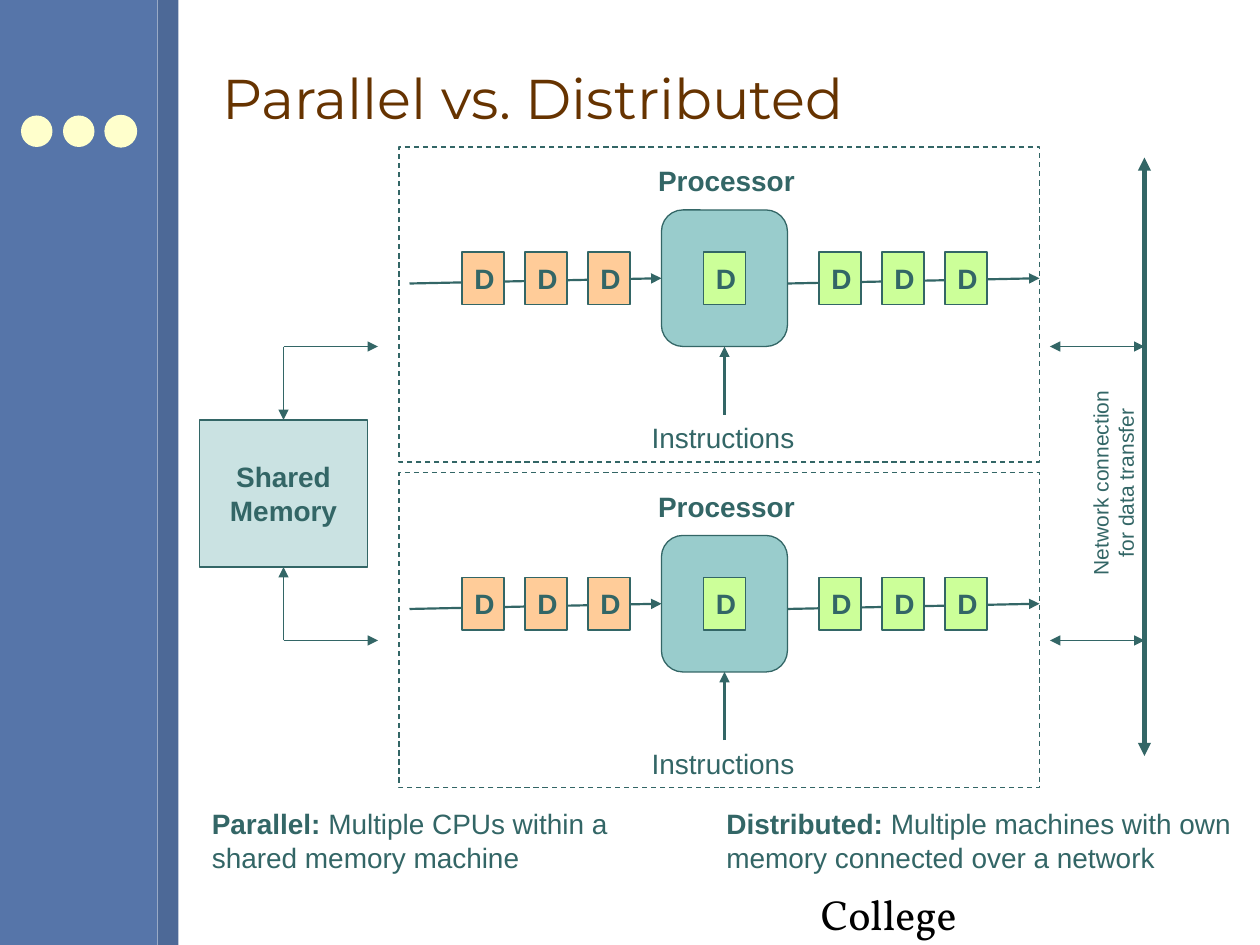
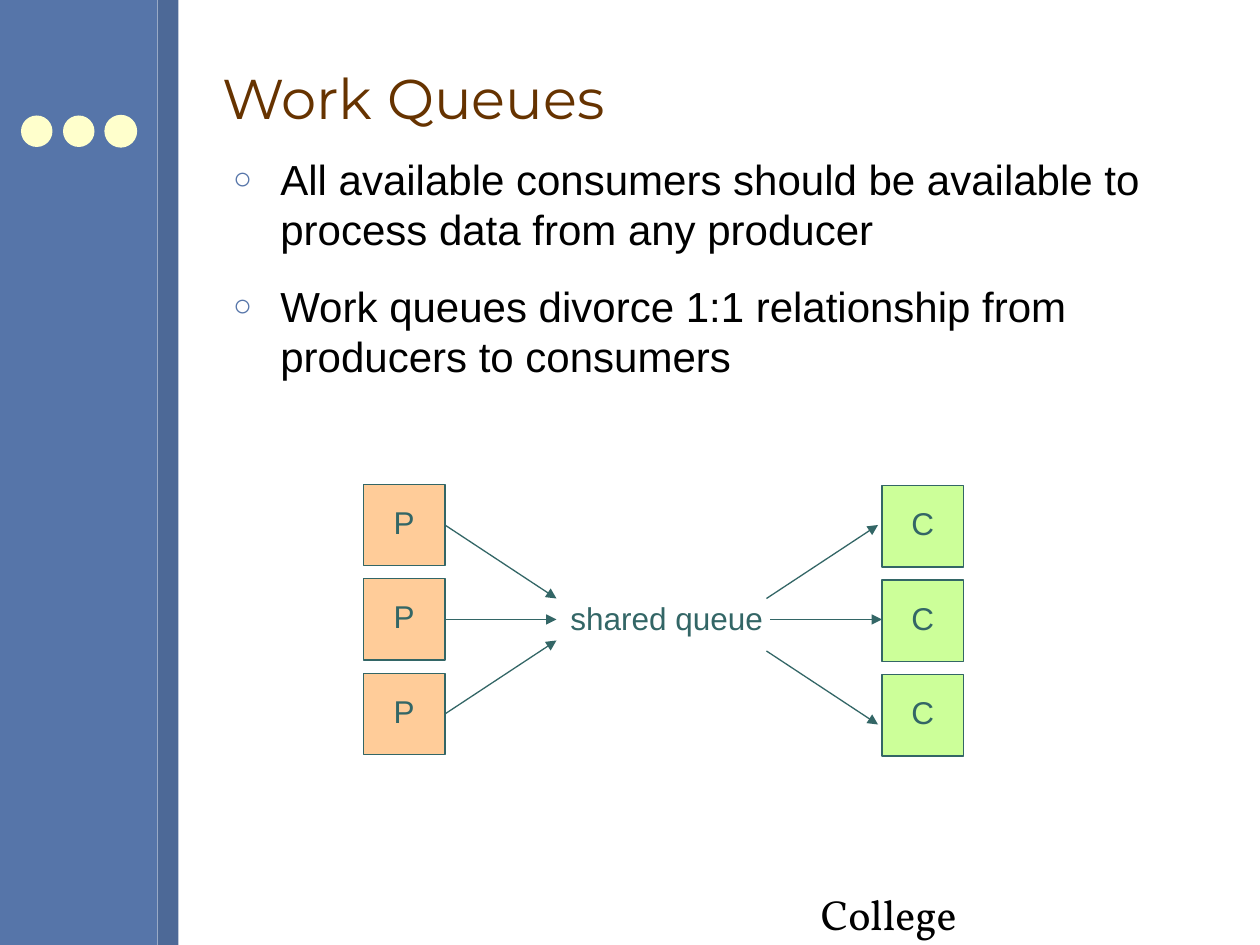
from dataclasses import dataclass

from lxml import etree
from pptx import Presentation
from pptx.dml.color import RGBColor
from pptx.enum.dml import MSO_LINE
from pptx.enum.shapes import MSO_CONNECTOR, MSO_SHAPE
from pptx.enum.text import MSO_ANCHOR, MSO_AUTO_SIZE, PP_ALIGN
from pptx.oxml.ns import qn
from pptx.util import Pt

PX = 9525  # EMU per px, 96 px to the inch
RECT, ROUNDED, OVAL = MSO_SHAPE.RECTANGLE, MSO_SHAPE.ROUNDED_RECTANGLE, MSO_SHAPE.OVAL
LEFT, CENTER = PP_ALIGN.LEFT, PP_ALIGN.CENTER
TOP, MIDDLE = MSO_ANCHOR.TOP, MSO_ANCHOR.MIDDLE
STRAIGHT, DASH, NO_FIT = MSO_CONNECTOR.STRAIGHT, MSO_LINE.DASH, MSO_AUTO_SIZE.NONE


@dataclass(frozen=True)
class Theme:
    band: str = "5675A9"
    band_edge: str = "4D6997"
    dot: str = "FFFFCC"
    title: str = "663300"
    black: str = "000000"
    ink: str = "336666"
    memory: str = "CAE2E2"
    processor: str = "99CCCC"
    waiting: str = "FFCC99"
    done: str = "CCFF99"
    title_font: str = "Montserrat"
    text_font: str = "Arial"
    footer_font: str = "Vollkorn"
    title_size: int = 32
    body_size: int = 24
    queue_size: int = 18
    label_size: int = 16
    note_size: int = 12
    thin: float = 0.75
    medium: float = 1.25
    thick: float = 2.5


theme = Theme()


def add_block(slide, kind, box, fill=None, line=None, lines=(), size=theme.label_size,
              font=theme.text_font, color=theme.ink, align=CENTER, anchor=MIDDLE,
              wrap=True, spacing=None):
    """Add a shape, or a text box if kind is None; lines hold (text, bold) runs."""
    edges = [n * PX for n in box]
    if kind is None:
        block = slide.shapes.add_textbox(*edges)
    else:
        block = slide.shapes.add_shape(kind, *edges)
        block.shadow.inherit = False
        if fill:
            block.fill.solid()
            block.fill.fore_color.rgb = RGBColor.from_string(fill)
        else:
            block.fill.background()
        if line:
            block.line.color.rgb = RGBColor.from_string(line)
            block.line.width = Pt(theme.thin)
        else:
            block.line.fill.background()
    frame = block.text_frame
    for name, value in {"word_wrap": wrap, "vertical_anchor": anchor}.items():
        setattr(frame, name, value)
    for n, runs in enumerate(lines):
        paragraph = frame.add_paragraph() if n else frame.paragraphs[0]
        paragraph.alignment = align
        if spacing:
            paragraph.line_spacing = spacing
        for text, bold in runs:
            run = paragraph.add_run()
            run.text = text
            for name, value in {"name": font, "size": Pt(size), "bold": bold}.items():
                setattr(run.font, name, value)
            run.font.color.rgb = RGBColor.from_string(color)
    return block


def add_arrow(slide, ends, width=theme.thin, heads=("tailEnd",)):
    """Add a straight line with triangles at the given ends."""
    arrow = slide.shapes.add_connector(STRAIGHT, *[n * PX for n in ends])
    arrow.line.color.rgb = RGBColor.from_string(theme.ink)
    arrow.line.width = Pt(width)
    properties = arrow.element.spPr
    for head in heads:
        etree.SubElement(properties.find(qn("a:ln")), qn(f"a:{head}"), type="triangle")
    etree.SubElement(properties, qn("a:effectLst"))


BOTH = ("headEnd", "tailEnd")

deck = Presentation()
deck.slide_width, deck.slide_height = 960 * PX, 720 * PX
parallel = deck.slides.add_slide(deck.slide_layouts[5])
queues = deck.slides.add_slide(deck.slide_layouts[1])

# Shared side bands, dots and footer, moved to the master
shared_parts = [
    add_block(parallel, RECT, (0, 0, 120, 720), theme.band),
    add_block(parallel, RECT, (120, 0, 16, 720), theme.band_edge),
    add_block(parallel, OVAL, (16, 88, 24, 24), theme.dot),
    add_block(parallel, OVAL, (48, 88, 24, 24), theme.dot),
    add_block(parallel, OVAL, (80, 88, 24, 24), theme.dot, theme.dot),
    add_block(parallel, None, (616, 672, 160, 48), lines=[[("College", False)]],
              size=theme.body_size, font=theme.footer_font, color=theme.black,
              align=LEFT, anchor=TOP),
]
master_tree = deck.slide_master.element.cSld.spTree
for n, part in enumerate(shared_parts):
    part.element.xpath(".//p:cNvPr")[0].set("id", str(20 + n))
    master_tree.insert(2 + n, part.element)

# Titles and the bullet list
bullets = ["All available consumers should be available to process data from any producer",
           "Work queues divorce 1:1 relationship from producers to consumers"]
title_style = (theme.title_font, theme.title_size, theme.title, MIDDLE)
body_style = (theme.text_font, theme.body_size, theme.black, TOP)
for holder, box, texts, style in (
    (parallel.shapes.title, (160, 20, 768, 108), ["Parallel vs. Distributed"], title_style),
    (queues.shapes.title, (160, 20, 768, 108), ["Work Queues"], title_style),
    (queues.placeholders[1], (168, 112, 760, 552), bullets, body_style),
):
    font, size, color, anchor = style
    for name, value in zip(("left", "top", "width", "height"), box):
        setattr(holder, name, value * PX)
    frame = holder.text_frame
    frame.text = "\n".join(texts)
    for name, value in {"auto_size": NO_FIT, "word_wrap": True,
                        "vertical_anchor": anchor}.items():
        setattr(frame, name, value)
    for paragraph in frame.paragraphs:
        paragraph.alignment = LEFT
        for name, value in {"name": font, "size": Pt(size)}.items():
            setattr(paragraph.runs[0].font, name, value)
        paragraph.runs[0].font.color.rgb = RGBColor.from_string(color)

for paragraph in queues.placeholders[1].text_frame.paragraphs:
    paragraph.space_before = paragraph.space_after = Pt(7.5)
    properties = paragraph._p.get_or_add_pPr()
    for name, value in {"marL": 36 * PX, "indent": -36 * PX}.items():
        properties.set(name, str(value))
    bullet_color = etree.SubElement(properties, qn("a:buClr"))
    etree.SubElement(bullet_color, qn("a:srgbClr"), val=theme.band)
    etree.SubElement(properties, qn("a:buSzPct"), val="75000")
    etree.SubElement(properties, qn("a:buFont"), typeface=theme.text_font)
    etree.SubElement(properties, qn("a:buChar"), char="○")

# Shared memory with its links to both machines
add_block(parallel, RECT, (152, 320, 128, 112), theme.memory, theme.ink,
          [[("Shared", True)], [("Memory", True)]])
for link_y, memory_edge in ((264, 320), (488, 432)):
    add_arrow(parallel, (216, link_y, 288, link_y))
    add_arrow(parallel, (216, link_y, 216, memory_edge))
    add_arrow(parallel, (800, link_y, 872, link_y), heads=BOTH)

# Network line and its upright label
add_arrow(parallel, (872, 120, 872, 576), theme.thick, BOTH)
network = add_block(parallel, None, (748, 344, 200, 48), size=theme.note_size, anchor=TOP,
                    lines=[[("Network connection", False)], [("for data transfer", False)]])
network.rotation = 270

# Two identical machines, one above the other
for top in (112, 360):
    machine = add_block(parallel, RECT, (304, top, 488, 240), line=theme.ink)
    machine.line.dash_style = DASH
    for start in (312, 600):
        add_arrow(parallel, (start, top + 104, start + 192, top + 100), theme.medium)
    processor = add_block(parallel, ROUNDED, (504, top + 48, 96, 104),
                          theme.processor, theme.ink)
    processor.adjustments[0] = 0.17
    for fill, columns in ((theme.waiting, (352, 400, 448)),
                          (theme.done, (536, 624, 672, 720))):
        for x in columns:
            add_block(parallel, RECT, (x, top + 80, 32, 40), fill, theme.ink, [[("D", True)]])
    add_arrow(parallel, (552, top + 204, 552, top + 152), theme.medium)
    for text, bold, box in (("Processor", True, (492, top + 8, 136, 35)),
                            ("Instructions", False, (487, top + 204, 140, 35))):
        add_block(parallel, None, box, lines=[[(text, bold)]], align=LEFT, anchor=TOP)

# Definitions below the diagram
for term, meaning, x, width in (
    ("Parallel: ", "Multiple CPUs within a shared memory machine", 152, 384),
    ("Distributed: ", "Multiple machines with own memory connected over a network", 544, 408),
):
    add_block(parallel, None, (x, 610, width, 61), lines=[[(term, True), (meaning, False)]],
              align=LEFT, anchor=TOP)

# Producers and consumers
for letter, fill, x, first_y in (("P", theme.waiting, 277, 369), ("C", theme.done, 672, 370)):
    for row in range(3):
        worker = add_block(queues, ROUNDED, (x, first_y + 72 * row, 62, 62), fill, theme.ink,
                           [[(letter, False)]], theme.queue_size, wrap=False, spacing=0.81)
        worker.adjustments[0] = 0

# Shared queue and its arrows
add_block(queues, None, (408, 456, 200, 34), lines=[[("shared queue", False)]],
          size=theme.queue_size, spacing=0.81)
for ends in ((339, 400, 424, 456), (339, 472, 424, 472), (339, 544, 424, 488),
             (584, 456, 669, 400), (587, 472, 672, 472), (584, 496, 669, 552)):
    add_arrow(queues, ends)

deck.save("out.pptx")
